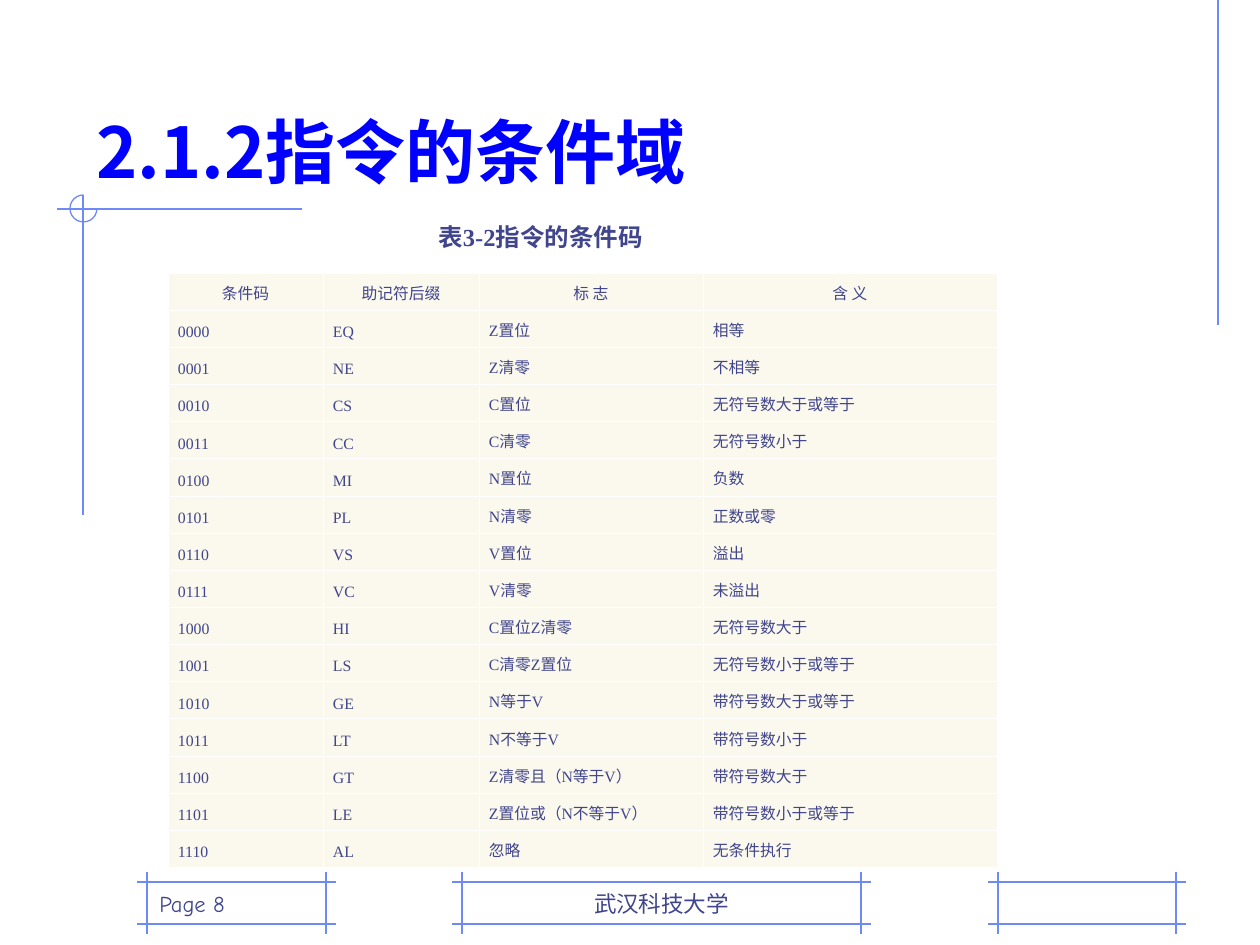
from dataclasses import dataclass
from typing import Any

from lxml.etree import SubElement
from pptx import Presentation
from pptx.dml.color import RGBColor
from pptx.enum.shapes import MSO_CONNECTOR, MSO_SHAPE
from pptx.enum.text import MSO_ANCHOR, PP_ALIGN
from pptx.oxml.ns import qn
from pptx.util import Pt

SCALE = 914400 / 126


@dataclass(frozen=True)
class Theme:
    line: str = "6F89F7"
    ink: str = "40458C"
    head: str = "0000FF"
    cell: str = "FBF8ED"
    edge: str = "FFFFFF"
    hand: str = "Comic Neue"
    sans: str = "Noto Sans CJK JP"
    serif: str = "Times New Roman"
    title: float = 40
    label: float = 14
    foot: float = 12.9
    body: float = 9
    stroke: float = 0.75
    rule: float = 0.45


@dataclass(frozen=True)
class Line:
    x1: int
    y1: int
    x2: int
    y2: int


@dataclass(frozen=True)
class Frame:
    left: int
    right: int
    top: int = 882
    base: int = 924
    over: int = 10


@dataclass(frozen=True)
class Label:
    text: str
    x: int
    y: int
    w: int
    h: int
    font: dict[str, Any]
    color: str
    para: dict[str, Any]
    anchor: MSO_ANCHOR = MSO_ANCHOR.BOTTOM
    wrap: bool = True


THEME = Theme()
FOOT = {"name": THEME.hand, "size": Pt(THEME.foot)}
BODY = {"name": THEME.serif, "size": Pt(THEME.body)}
HEAD = {"name": THEME.sans, "size": Pt(THEME.title), "bold": True}
NOTE = {"name": THEME.serif, "size": Pt(THEME.label), "bold": True}

FRAMES = [Frame(462, 861), Frame(998, 1176), Frame(147, 326)]
LINES = [Line(1218, 0, 1218, 325), Line(302, 209, 57, 209), Line(83, 195, 83, 515)]
LABELS = [
    Label("武汉科技大学", 462, 882, 399, 42, FOOT, THEME.ink,
          {"alignment": PP_ALIGN.CENTER, "line_spacing": 0.9}),
    Label("Page 8", 147, 882, 179, 42, FOOT, THEME.ink, {"line_spacing": 0.9}),
    Label("2.1.2指令的条件域", 84, 42, 1071, 157, HEAD, THEME.head, {}),
    Label("表3-2指令的条件码", 426, 215, 242, 43, NOTE, THEME.ink, {},
          MSO_ANCHOR.MIDDLE, False),
]
COLS = [155, 156, 224, 294]
ROWS = [
    ("条件码", "助记符后缀", "标 志", "含 义"),
    ("0000", "EQ", "Z置位", "相等"),
    ("0001", "NE", "Z清零", "不相等"),
    ("0010", "CS", "C置位", "无符号数大于或等于"),
    ("0011", "CC", "C清零", "无符号数小于"),
    ("0100", "MI", "N置位", "负数"),
    ("0101", "PL", "N清零", "正数或零"),
    ("0110", "VS", "V置位", "溢出"),
    ("0111", "VC", "V清零", "未溢出"),
    ("1000", "HI", "C置位Z清零", "无符号数大于"),
    ("1001", "LS", "C清零Z置位", "无符号数小于或等于"),
    ("1010", "GE", "N等于V", "带符号数大于或等于"),
    ("1011", "LT", "N不等于V", "带符号数小于"),
    ("1100", "GT", "Z清零且（N等于V）", "带符号数大于"),
    ("1101", "LE", "Z置位或（N不等于V）", "带符号数小于或等于"),
    ("1110", "AL", "忽略", "无条件执行"),
]


def px(size: int) -> int:
    return round(size * SCALE)


def apply(item: Any, values: dict[str, Any]) -> None:
    for name, value in values.items():
        setattr(item, name, value)


def write(frame: Any, text: str, font: dict[str, Any], color: str,
          para: dict[str, Any]) -> None:
    first = frame.paragraphs[0]
    apply(first, para)
    run = first.add_run()
    run.text = text
    apply(run.font, font)
    run.font.color.rgb = RGBColor.from_string(color)


def ink(line: Any) -> None:
    line.color.rgb = RGBColor.from_string(THEME.line)
    line.width = Pt(THEME.stroke)


def draw_line(shapes: Any, line: Line) -> None:
    ends = map(px, (line.x1, line.y1, line.x2, line.y2))
    link = shapes.add_connector(MSO_CONNECTOR.STRAIGHT, *ends)
    ink(link.line)
    SubElement(link._element.spPr, qn("a:effectLst"))


def draw_frame(shapes: Any, box: Frame) -> None:
    for y in (box.top, box.base):
        draw_line(shapes, Line(box.left - box.over, y, box.right + box.over, y))
    for x in (box.left, box.right):
        draw_line(shapes, Line(x, box.top - box.over, x, box.base + box.over))


def draw_arc(shapes: Any, x: int, y: int, size: int) -> None:
    arc = shapes.add_shape(MSO_SHAPE.ARC, px(x), px(y), px(size), px(size))
    arc.adjustments[0], arc.adjustments[1] = 0, 162
    arc.shadow.inherit = False
    arc.fill.background()
    ink(arc.line)


def draw_label(shapes: Any, label: Label) -> None:
    box = shapes.add_textbox(*map(px, (label.x, label.y, label.w, label.h)))
    apply(box.text_frame, {"word_wrap": label.wrap, "vertical_anchor": label.anchor})
    write(box.text_frame, label.text, label.font, label.color, label.para)


def edge(cell: Any) -> None:
    props = cell._tc.get_or_add_tcPr()
    for spot, side in enumerate(("L", "R", "T", "B")):
        line = props.makeelement(qn(f"a:ln{side}"), {"w": str(Pt(THEME.rule))})
        fill = SubElement(line, qn("a:solidFill"))
        SubElement(fill, qn("a:srgbClr"), val=THEME.edge)
        props.insert(spot, line)


def draw_table(shapes: Any, x: int, y: int, top: int, step: int) -> None:
    high = top + step * (len(ROWS) - 1)
    table = shapes.add_table(len(ROWS), len(COLS), px(x), px(y),
                             px(sum(COLS)), px(high)).table
    apply(table, {"first_row": False, "horz_banding": False})
    for col, wide in zip(table.columns, COLS):
        col.width = px(wide)
    for at, (row, texts) in enumerate(zip(table.rows, ROWS)):
        row.height = px(step if at else top)
        align = PP_ALIGN.LEFT if at else PP_ALIGN.CENTER
        for cell, text in zip(row.cells, texts):
            apply(cell, {"margin_left": px(10), "margin_right": px(10)})
            cell.fill.solid()
            cell.fill.fore_color.rgb = RGBColor.from_string(THEME.cell)
            edge(cell)
            write(cell.text_frame, text, BODY, THEME.ink,
                  {"alignment": align, "line_spacing": Pt(14)})


def main() -> None:
    deck = Presentation()
    apply(deck, {"slide_width": px(1260), "slide_height": px(945)})
    shapes = deck.slides.add_slide(deck.slide_layouts[6]).shapes
    for box in FRAMES:
        draw_frame(shapes, box)
    for line in LINES:
        draw_line(shapes, line)
    draw_arc(shapes, 70, 195, 27)
    for label in LABELS[:-1]:
        draw_label(shapes, label)
    draw_table(shapes, 168, 273, 37, 29)
    draw_label(shapes, LABELS[-1])
    deck.save("out.pptx")


if __name__ == "__main__":
    main()
